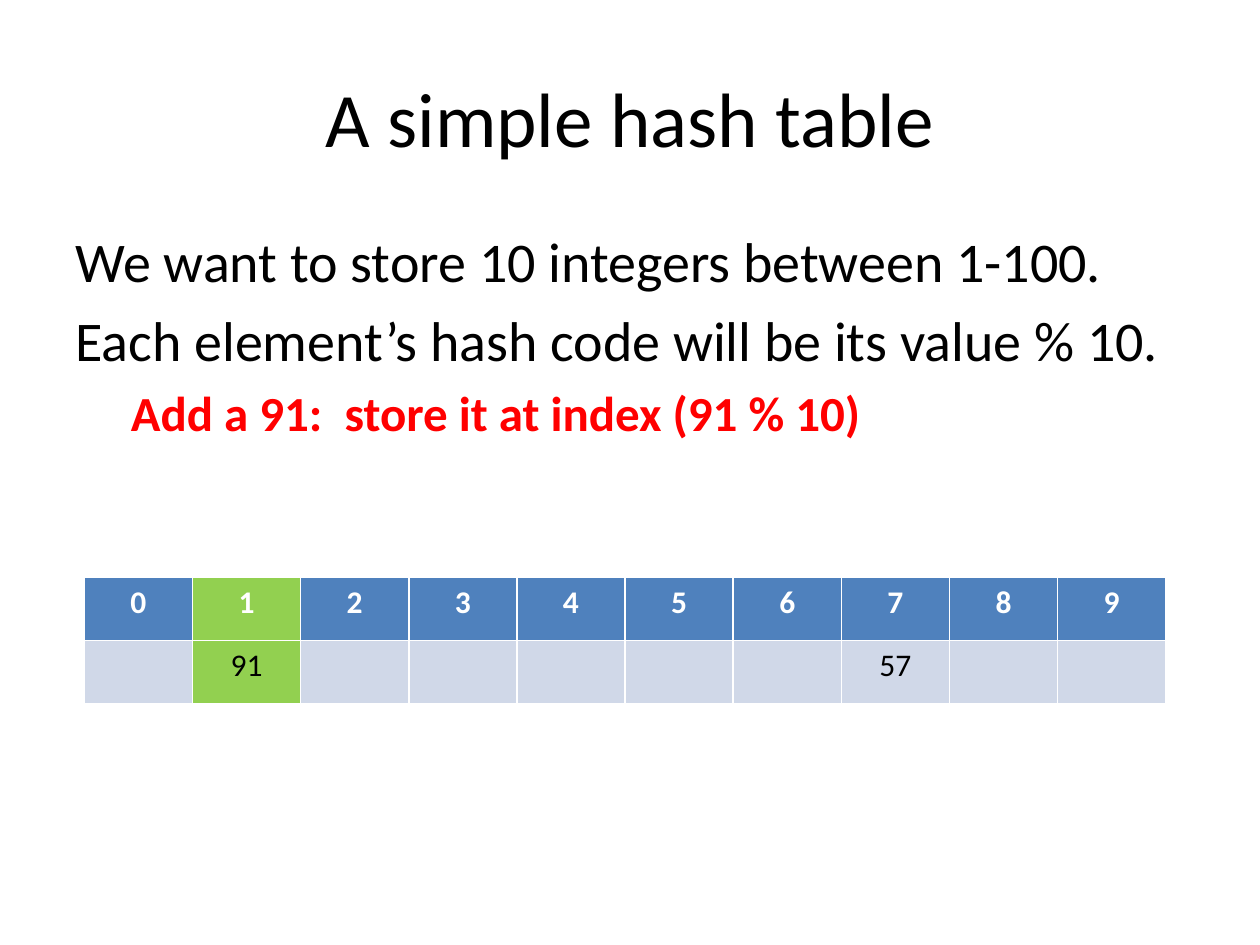
from dataclasses import dataclass

from pptx import Presentation
from pptx import util as u
from pptx.dml.color import RGBColor
from pptx.enum import text


@dataclass(frozen=True)
class Theme:
    """Colours, font and type sizes of the slide."""
    font: str = "Calibri"
    ink: str = "000000"
    paper: str = "FFFFFF"
    accent: str = "FF0000"
    header: str = "4F81BD"
    band: str = "D0D8E8"
    highlight: str = "92D050"
    title_size: int = 44
    body_size: int = 32
    detail_size: int = 28
    cell_size: int = 18


class SlideBuilder:
    """Holds the theme and the current page and adds styled elements to it."""

    def __init__(self, page, theme):
        self.page = page
        self.theme = theme

    def style(self, para, size, color, bold=False):
        """Format every run of a paragraph."""
        for span in para.runs:
            span.font.name = self.theme.font
            span.font.size = u.Pt(size)
            span.font.bold = bold
            span.font.color.rgb = RGBColor.from_string(color)

    def title(self, words, left, top, width, height):
        """Place and fill the title placeholder."""
        box = self.page.shapes.title
        box.left, box.top, box.width, box.height = map(u.Cm, (left, top, width, height))
        box.text_frame.text = words
        box.text_frame.vertical_anchor = text.MSO_ANCHOR.MIDDLE
        para = box.text_frame.paragraphs[0]
        para.alignment = text.PP_ALIGN.CENTER
        self.style(para, self.theme.title_size, self.theme.ink)

    def body(self, lines, left, top, width, height):
        """Add a text box from (words, level) pairs."""
        box = self.page.shapes.add_textbox(*map(u.Cm, (left, top, width, height)))
        frame = box.text_frame
        frame.word_wrap = True
        frame.text = "\n".join(words for words, _ in lines)
        for para, (_, level) in zip(frame.paragraphs, lines):
            size = self.theme.detail_size if level else self.theme.body_size
            color = self.theme.accent if level else self.theme.ink
            para.level = level
            para.space_before = u.Pt(size * 0.2)
            if level:
                para._p.get_or_add_pPr().set("marL", str(u.Cm(1.12)))
            self.style(para, size, color, bold=level > 0)

    def hash_table(self, size, stored, highlighted, left, top, width, height):
        """Add a row of indices above a row of stored values."""
        table = self.page.shapes.add_table(
            2, size, *map(u.Cm, (left, top, width, height))).table
        for index in range(size):
            self.cell(table.cell(0, index), index, self.theme.header,
                      self.theme.paper, index == highlighted, bold=True)
            self.cell(table.cell(1, index), stored.get(index, ""), self.theme.band,
                      self.theme.ink, index == highlighted)

    def cell(self, cell, value, fill, color, highlighted, bold=False):
        """Fill and format one table cell."""
        cell.fill.solid()
        cell.fill.fore_color.rgb = RGBColor.from_string(
            self.theme.highlight if highlighted else fill)
        cell.text_frame.text = str(value)
        para = cell.text_frame.paragraphs[0]
        para.alignment = text.PP_ALIGN.CENTER
        self.style(para, self.theme.cell_size, color, bold)


def main():
    """Build the hash table slide."""
    deck = Presentation()
    deck.slide_width, deck.slide_height = u.Cm(25.4), u.Cm(19.05)
    page = deck.slides.add_slide(deck.slide_layouts.get_by_name("Title Only"))
    builder = SlideBuilder(page, Theme())
    builder.title("A simple hash table", 1.27, 0.76, 22.86, 3.18)
    builder.body([
        ("We want to store 10 integers between 1-100.", 0),
        ("Each element’s hash code will be its value % 10.", 0),
        ("Add a 91:  store it at index (91 % 10)", 1),
    ], 1.27, 4.45, 22.86, 12.57)
    capacity = 10
    added = 91
    stored = {value % capacity: value for value in (57, added)}
    builder.hash_table(capacity, stored, added % capacity, 1.7, 11.64, 21.8, 2.54)
    deck.save("out.pptx")


if __name__ == "__main__":
    main()
